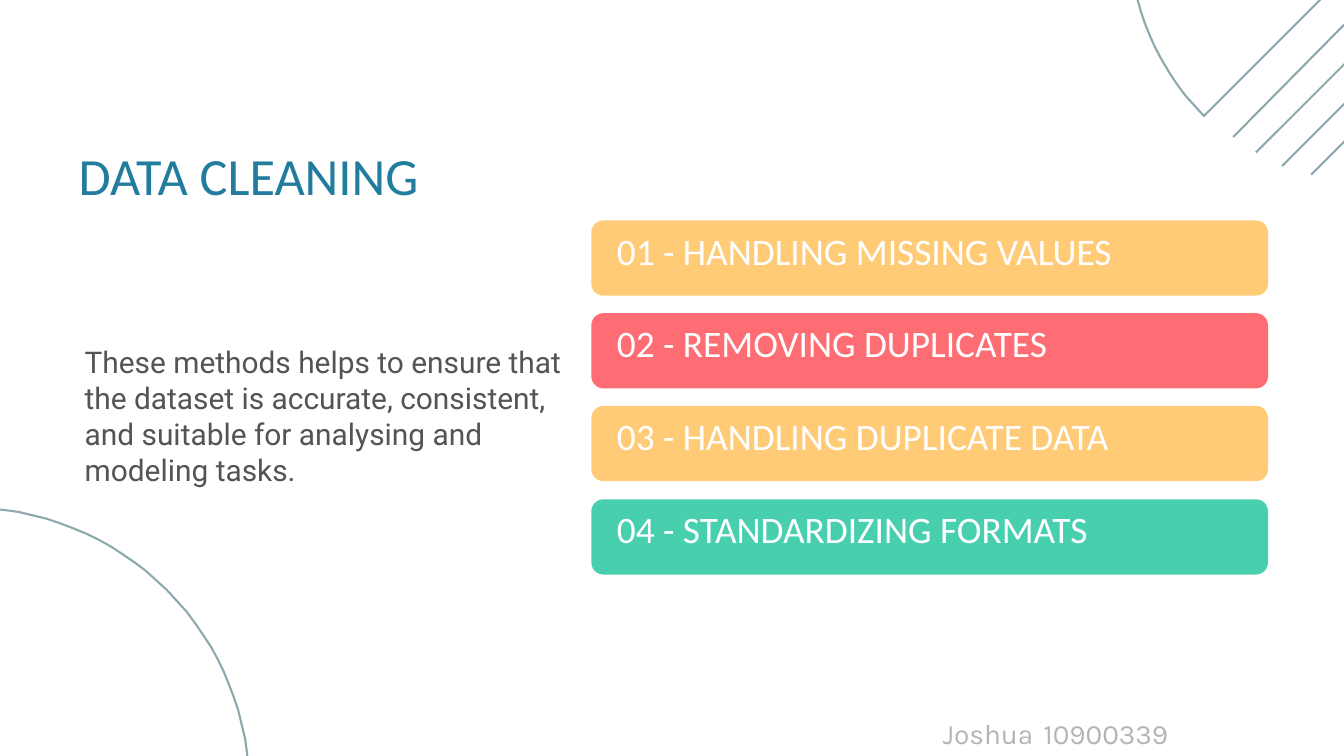
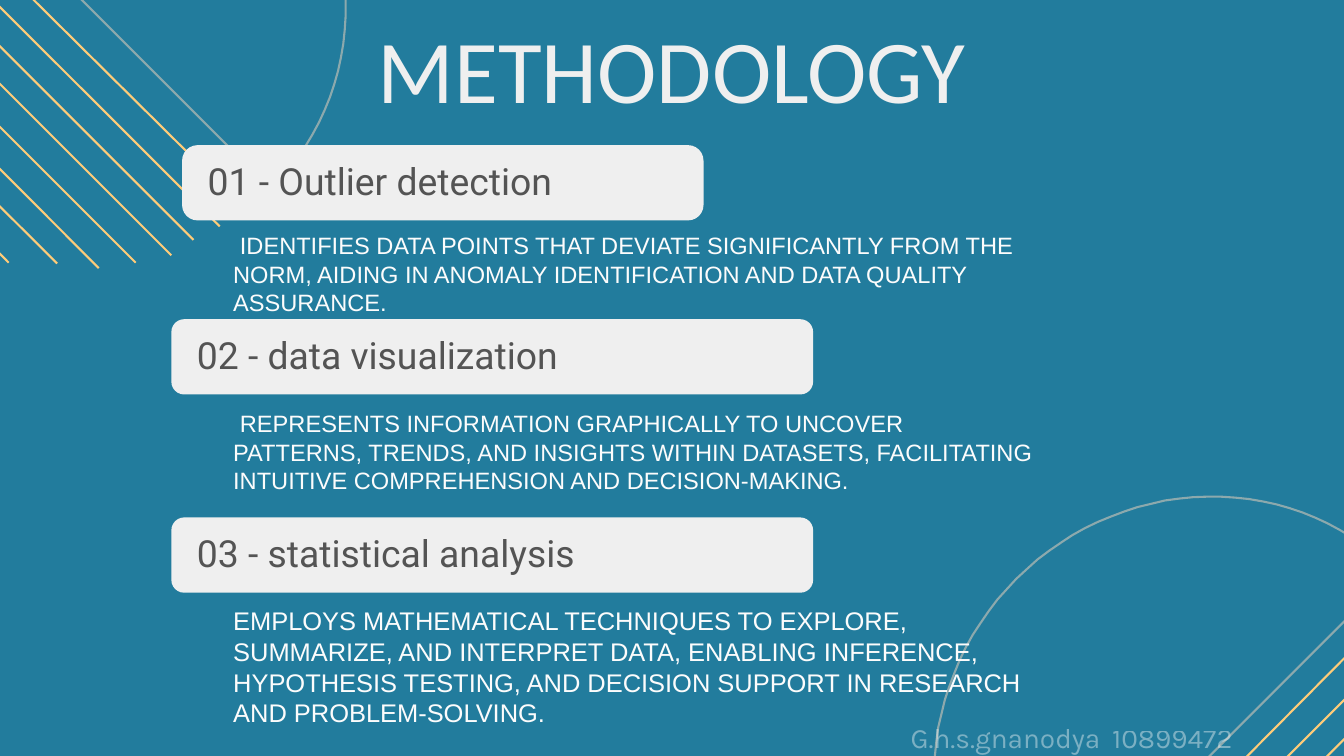
from math import cos, pi, sin
from typing import NamedTuple

from lxml import etree
from pptx import Presentation
from pptx import util as u
from pptx.dml.color import RGBColor
from pptx.enum import shapes, text
from pptx.oxml import ns

PX = 9144  # 100 px to the inch

WHITE = RGBColor(0xFF, 0xFF, 0xFF)
TEAL = RGBColor(0x22, 0x7C, 0x9D)
SAGE = RGBColor(0x8C, 0xA9, 0xAD)
GOLD = RGBColor(0xFE, 0xCC, 0x79)
AMBER = RGBColor(0xFF, 0xCB, 0x77)
CORAL = RGBColor(0xFE, 0x6D, 0x73)
MINT = RGBColor(0x48, 0xCF, 0xAE)
PALE = RGBColor(0xEF, 0xEF, 0xEF)
SNOW = RGBColor(0xFC, 0xFC, 0xFC)
MIST = RGBColor(0xF8, 0xF8, 0xF8)
INK = RGBColor(0x54, 0x54, 0x54)
GREY = RGBColor(0x73, 0x73, 0x73)

RULE = u.Pt(2.25)
DOME_W, DOME_H = 811, 390
BAR_H = 112
LABEL_IN = 38


class Box(NamedTuple):
    left: int
    top: int
    width: int
    height: int

    def emu(self) -> list[int]:
        return [side * PX for side in self]


class Style(NamedTuple):
    font: str
    size: float
    lead: float
    color: RGBColor
    align: text.PP_ALIGN = text.PP_ALIGN.LEFT
    alpha: int = 100


class Ray(NamedTuple):
    x1: int
    y1: int
    x2: int
    y2: int


class Bar(NamedTuple):
    box: Box
    color: RGBColor
    radius: int


class Step(NamedTuple):
    bar: Bar
    label: str
    note: str
    place: Box
    style: Style
    indent: int = 0


HEAD = Style("Calibri", 56, 55.4, TEAL)
BANNER = Style("Calibri", 96, 96, PALE, text.PP_ALIGN.CENTER)
BODY = Style("Roboto", 32, 38.4, INK)
TASK = Style("Calibri", 40, 40, WHITE)
TOPIC = Style("Roboto", 40, 40, INK)
NOTE = Style("Arial", 25.3, 30.4, SNOW)
LAST = Style("Arial", 27.3, 32.8, SNOW)
FOOT = Style("Karla", 30, 33, GREY, alpha=52)
FOOT_DARK = FOOT._replace(color=MIST, alpha=41)

TASKS = [
    ("01 - HANDLING MISSING VALUES", AMBER),
    ("02 - REMOVING DUPLICATES", CORAL),
    ("03 - HANDLING DUPLICATE DATA", AMBER),
    ("04 - STANDARDIZING FORMATS", MINT),
]

STEPS = [
    Step(Bar(Box(271, 216, 776, BAR_H), PALE, 23), "01 - Outlier detection",
         "IDENTIFIES DATA POINTS THAT DEVIATE SIGNIFICANTLY FROM THE NORM, "
         "AIDING IN ANOMALY IDENTIFICATION AND DATA QUALITY ASSURANCE.",
         Box(347, 344, 1198, 131), NOTE, 10),
    Step(Bar(Box(255, 475, 955, BAR_H), PALE, 19), "02 - data visualization",
         "REPRESENTS INFORMATION GRAPHICALLY TO UNCOVER PATTERNS, TRENDS, "
         "AND INSIGHTS WITHIN DATASETS, FACILITATING INTUITIVE COMPREHENSION "
         "AND DECISION-MAKING.",
         Box(347, 609, 1198, 131), NOTE, 10),
    Step(Bar(Box(255, 770, 955, BAR_H), PALE, 19), "03 - statistical analysis",
         "EMPLOYS MATHEMATICAL TECHNIQUES TO EXPLORE, SUMMARIZE, AND "
         "INTERPRET DATA, ENABLING INFERENCE, HYPOTHESIS TESTING, AND "
         "DECISION SUPPORT IN RESEARCH AND PROBLEM-SOLVING.",
         Box(347, 901, 1198, 185), LAST),
]

CORNER_RAYS = [
    Ray(1835, 204, 2396, -364),
    Ray(1869, 227, 2420, -324),
    Ray(1908, 247, 2441, -286),
    Ray(1951, 260, 2464, -253),
]

LEFT_RAYS = [
    Ray(-201, -249, 366, 313),
    Ray(-225, -214, 327, 337),
    Ray(-244, -175, 288, 357),
    Ray(-258, -133, 255, 380),
    Ray(-274, -85, 202, 391),
    Ray(-287, -36, 147, 399),
    Ray(-284, 25, 85, 392),
    Ray(-274, 99, 13, 391),
]

RIGHT_RAYS = [
    Ray(1545, 1439, 2107, 872),
    Ray(1580, 1462, 2131, 911),
    Ray(1619, 1482, 2151, 949),
]


def write(shape, words: str, style: Style, indent: int = 0, tab: int = 0) -> None:
    """Fill a shape with one styled paragraph, free of inherited layout."""
    frame = shape.text_frame
    frame.text = words
    frame.word_wrap = True
    frame.auto_size = text.MSO_AUTO_SIZE.NONE
    frame.vertical_anchor = text.MSO_ANCHOR.TOP
    frame.margin_left = frame.margin_right = 0
    frame.margin_top = frame.margin_bottom = 0

    para = frame.paragraphs[0]
    props = para._p.get_or_add_pPr()
    props.set("marL", "0")
    props.set("indent", str(indent * PX))
    etree.SubElement(props, ns.qn("a:buNone"))
    if tab:
        stops = etree.SubElement(props, ns.qn("a:tabLst"))
        etree.SubElement(stops, ns.qn("a:tab"), pos=str(tab * PX), algn="l")
    para.alignment = style.align
    para.line_spacing = u.Pt(style.lead)
    para.space_before = para.space_after = u.Pt(0)

    for run in para.runs:
        run.font.name = style.font
        run.font.size = u.Pt(style.size)
        run.font.color.rgb = style.color
        if style.alpha < 100:
            tint = run._r.find(".//" + ns.qn("a:srgbClr"))
            etree.SubElement(tint, ns.qn("a:alpha"), val=str(style.alpha * 1000))


def add_text(slide, box: Box, words: str, style: Style,
             indent: int = 0, tab: int = 0) -> None:
    write(slide.shapes.add_textbox(*box.emu()), words, style, indent, tab)


def fill_holder(holder, box: Box, words: str, style: Style) -> None:
    holder.left, holder.top, holder.width, holder.height = box.emu()
    write(holder, words, style)


def add_dome(slide, left: int, top: int, turn: int) -> None:
    """Outline a half ellipse closed by its flat side, then rotate it."""
    parts = 60
    rx = DOME_W / 2
    rim = [(left + rx - rx * cos(pi * i / parts),
            top + DOME_H * (1 - sin(pi * i / parts))) for i in range(parts + 1)]
    pen = slide.shapes.build_freeform(*rim[0], scale=PX)
    pen.add_line_segments(rim[1:], close=True)
    dome = pen.convert_to_shape()
    dome.shadow.inherit = False
    dome.fill.background()
    dome.line.color.rgb = SAGE
    dome.line.width = RULE
    dome.rotation = turn


def add_rays(slide, rays: list[Ray], color: RGBColor) -> None:
    for ray in rays:
        line = slide.shapes.add_connector(
            shapes.MSO_CONNECTOR.STRAIGHT, *(end * PX for end in ray))
        line.line.color.rgb = color
        line.line.width = RULE
        etree.SubElement(line._element.spPr, ns.qn("a:effectLst"))


def add_bar(slide, bar: Bar) -> None:
    shape = slide.shapes.add_shape(
        shapes.MSO_SHAPE.ROUNDED_RECTANGLE, *bar.box.emu())
    shape.adjustments[0] = bar.radius / bar.box.height
    shape.shadow.inherit = False
    shape.fill.solid()
    shape.fill.fore_color.rgb = bar.color
    shape.line.fill.background()


def add_label(slide, bar: Bar, words: str, style: Style,
              drop: int, height: int) -> None:
    left, top, width, _ = bar.box
    place = Box(left + LABEL_IN, top + drop, width - LABEL_IN, height)
    add_text(slide, place, words, style)


def new_slide(deck, layout: int, color: RGBColor):
    slide = deck.slides.add_slide(deck.slide_layouts[layout])
    slide.background.fill.solid()
    slide.background.fill.fore_color.rgb = color
    return slide


def cleaning(deck) -> None:
    slide = new_slide(deck, 1, WHITE)
    fill_holder(slide.shapes.title, Box(117, 230, 744, 92), "DATA CLEANING", HEAD)
    fill_holder(slide.placeholders[1], Box(126, 512, 734, 214),
                "These methods helps to ensure that the dataset is accurate, "
                "consistent, and suitable for analysing and modeling tasks.", BODY)
    add_dome(slide, -295, 821, 45)
    add_dome(slide, 1535, -447, 315)
    add_rays(slide, CORNER_RAYS, SAGE)
    for i, (words, color) in enumerate(TASKS):
        bar = Bar(Box(880, 328 + i * 415 // 3, 1007, BAR_H), color, 18)
        add_bar(slide, bar)
        add_label(slide, bar, words, TASK, 22, 67)
    add_text(slide, Box(1403, 1070, 597, 48), "Joshua\t10900339", FOOT, tab=204)


def methods(deck) -> None:
    slide = new_slide(deck, 5, TEAL)
    fill_holder(slide.shapes.title, Box(341, 47, 1317, 161), "METHODOLOGY", BANNER)
    add_dome(slide, -151, -338, 45)
    add_rays(slide, LEFT_RAYS, GOLD)
    add_dome(slide, 1245, 804, 315)
    add_rays(slide, RIGHT_RAYS, GOLD)
    for step in STEPS:
        add_bar(slide, step.bar)
        add_label(slide, step.bar, step.label, TOPIC, 30, 59)
        add_text(slide, step.place, step.note, step.style, step.indent)
    add_text(slide, Box(1355, 1077, 606, 48), "G.h.s.gnanodya\t10899472",
             FOOT_DARK, tab=312)


def main() -> None:
    deck = Presentation()
    deck.slide_width, deck.slide_height = 2000 * PX, 1125 * PX
    cleaning(deck)
    methods(deck)
    deck.save("out.pptx")


if __name__ == "__main__":
    main()
